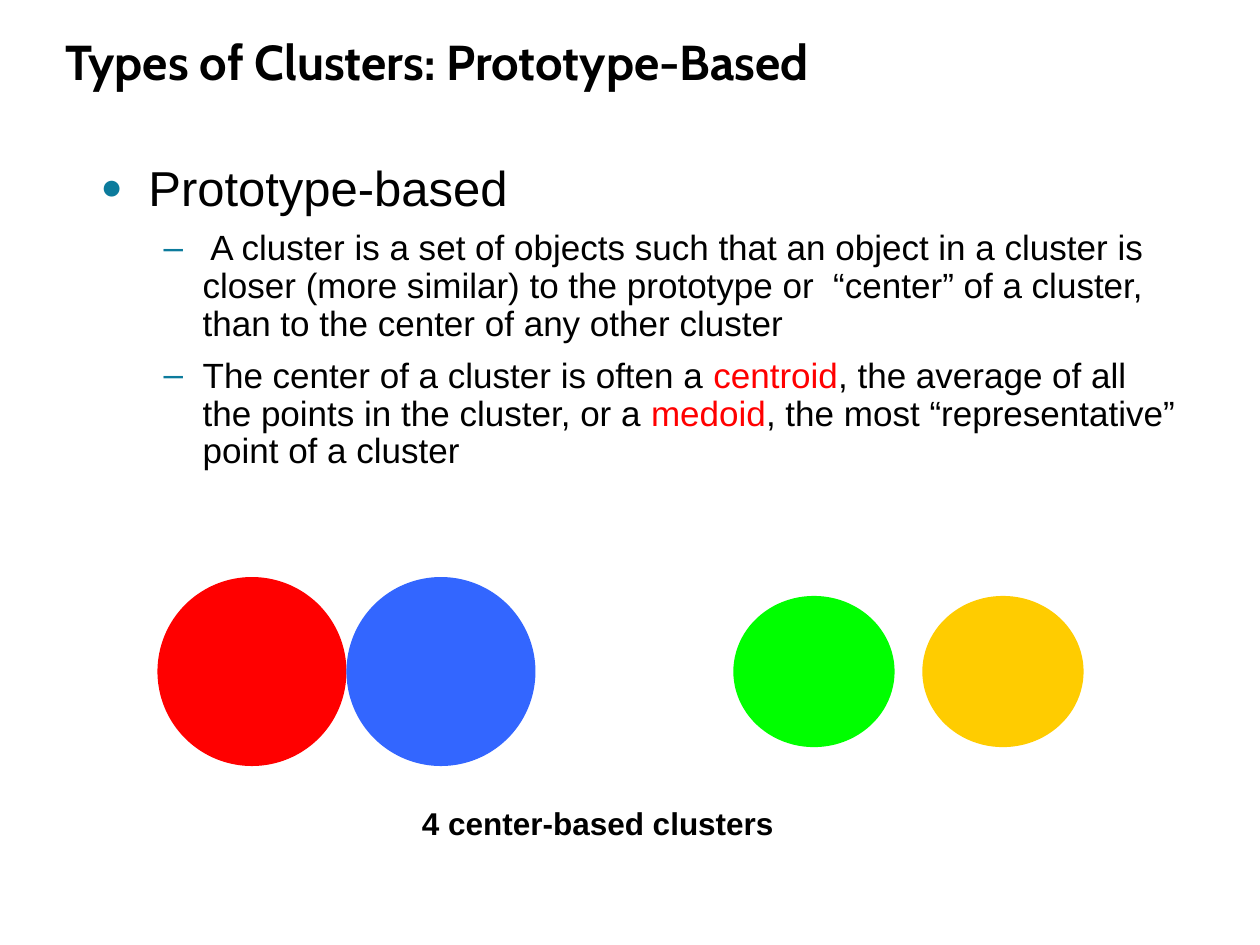
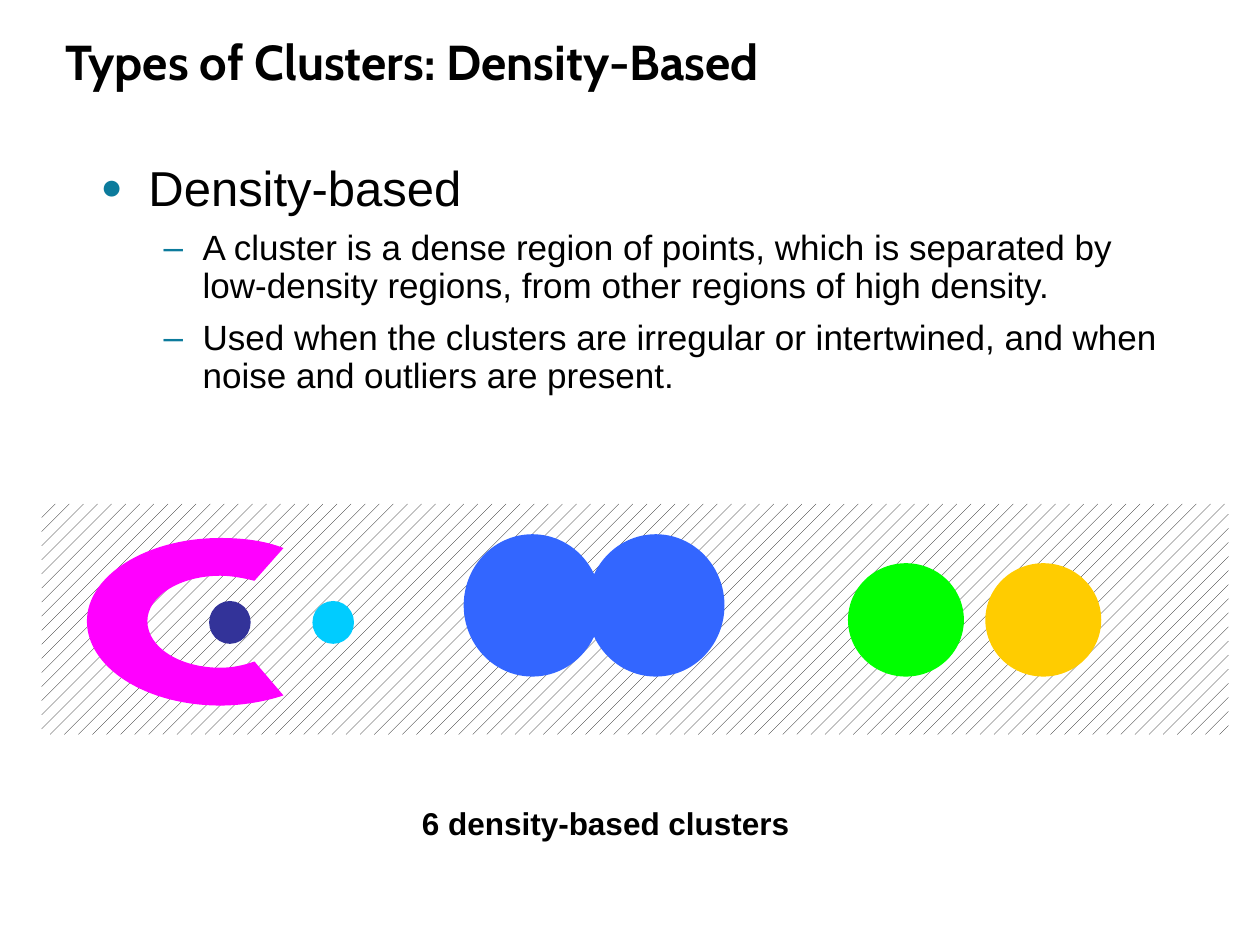
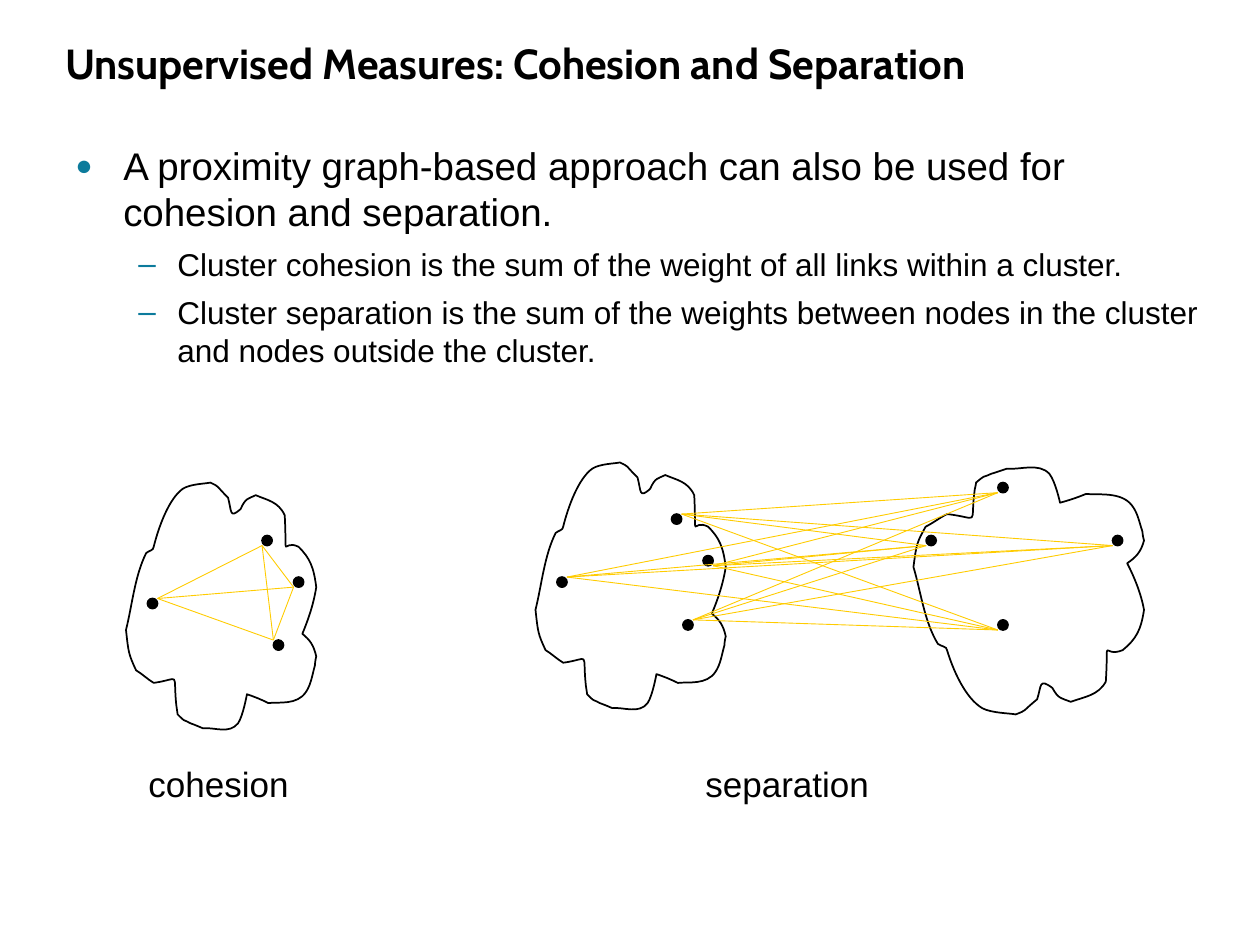
"""Builds three slides on cluster types and cluster measures."""
from dataclasses import dataclass
from itertools import combinations, product
from typing import Iterable, NamedTuple

from lxml import etree
from pptx import Presentation
from pptx.dml.color import RGBColor
from pptx.enum.dml import MSO_PATTERN_TYPE
from pptx.enum.shapes import MSO_CONNECTOR_TYPE, MSO_SHAPE
from pptx.enum.text import MSO_ANCHOR, MSO_AUTO_SIZE
from pptx.oxml.ns import qn
from pptx.util import Inches, Pt

OVAL, RECT = MSO_SHAPE.OVAL, MSO_SHAPE.RECTANGLE
STRAIGHT = MSO_CONNECTOR_TYPE.STRAIGHT
BOTTOM = MSO_ANCHOR.BOTTOM
FIT_SHAPE = MSO_AUTO_SIZE.SHAPE_TO_FIT_TEXT
HATCH = MSO_PATTERN_TYPE.PERCENT_10

Point = tuple[float, float]
Segment = tuple[Point, ...]


@dataclass(frozen=True)
class Theme:
    """Fonts, colours and type sizes shared by the slides."""
    title_font: str = "Cabin"
    body_font: str = "Arial"
    ink: str = "000000"
    paper: str = "FFFFFF"
    bullet: str = "0C7B9C"
    red: str = "FF0000"
    blue: str = "3366FF"
    green: str = "00FF00"
    amber: str = "FFCC00"
    navy: str = "333399"
    cyan: str = "00CCFF"
    magenta: str = "FF00FF"
    title_size: int = 28
    long_title_size: int = 24
    caption_size: int = 18
    label_size: int = 20
    title_leading: int = 36
    space_after: int = 4


THEME = Theme()


class Box(NamedTuple):
    """A frame in inches."""
    x: float
    y: float
    w: float
    h: float


class Run(NamedTuple):
    """A piece of text in one colour."""
    text: str
    color: str = THEME.ink


class Level(NamedTuple):
    """The bullet style of one outline level."""
    char: str
    margin: float
    hang: float
    scale: int


class BodyStyle(NamedTuple):
    """Frame, type sizes and spacing of a bulleted body."""
    box: Box
    sizes: tuple[int, int]
    leading: float
    before: float


class Disc(NamedTuple):
    """A filled ellipse."""
    box: Box
    color: str


class Node(NamedTuple):
    """A graph node and the corner where its links meet it."""
    x: float
    y: float
    right: bool
    low: bool

    def anchor(self) -> Point:
        """Return the point where links attach."""
        return self.x + NODE_SIZE * self.right, self.y + NODE_SIZE * self.low


LEVELS = (Level("●", 0.38, 0.38, 75), Level("–", 0.81, 0.31, 100))
TYPES_BODY = BodyStyle(Box(0.7, 1.25, 8.75, 5.59), (28, 20), 0.9, 0.2)
MEASURES_BODY = BodyStyle(Box(0.5, 1.08, 9.25, 5.83), (22, 18), 1.0, 0.1)
NODE_SIZE = 0.08

CLOUD_SIZE = (1.51, 2.0)
CLOUD_START = (0.16, 0.56)
CLOUD_CURVES = (
    (0.07, 0.74, 0.05, 0.97, 0, 1.17), (0.02, 1.35, 0.02, 1.36, 0.08, 1.49),
    (0.13, 1.52, 0.17, 1.56, 0.22, 1.59), (0.44, 1.56, 0.37, 1.49, 0.4, 1.77),
    (0.4, 1.79, 0.41, 1.82, 0.41, 1.84), (0.48, 1.91, 0.44, 1.87, 0.51, 1.91),
    (0.54, 1.92, 0.61, 1.95, 0.61, 1.95), (0.7, 1.94, 0.82, 2, 0.89, 1.91),
    (0.93, 1.85, 0.96, 1.68, 0.96, 1.68), (1.02, 1.7, 1.07, 1.72, 1.13, 1.75),
    (1.21, 1.74, 1.36, 1.77, 1.43, 1.66), (1.47, 1.6, 1.48, 1.52, 1.5, 1.45),
    (1.5, 1.42, 1.51, 1.38, 1.51, 1.38), (1.49, 1.29, 1.46, 1.25, 1.4, 1.2),
    (1.45, 1.08, 1.49, 0.96, 1.51, 0.83), (1.49, 0.67, 1.46, 0.6, 1.37, 0.51),
    (1.23, 0.44, 1.28, 0.66, 1.26, 0.26), (1.21, 0.15, 1.12, 0.14, 1.03, 0.1),
    (0.97, 0.13, 0.95, 0.12, 0.91, 0.21), (0.82, 0.29, 0.84, 0.23, 0.81, 0.12),
    (0.7, 0.01, 0.75, 0.04, 0.67, 0), (0.63, 0.01, 0.51, 0.01, 0.45, 0.05),
    (0.34, 0.13, 0.26, 0.35, 0.22, 0.51), (0.22, 0.54, 0.18, 0.54, 0.16, 0.56),
)
CRESCENT_START = (2.02, 5.25)
CRESCENT_SEGMENTS = (
    (1.94, 5.28, 1.84, 5.3, 1.75, 5.3), (1.43, 5.3, 1.17, 5.14, 1.17, 4.93),
    (1.17, 4.73, 1.43, 4.57, 1.75, 4.57), (1.84, 4.57, 1.94, 4.59, 2.02, 4.61),
    (2.25, 4.35),
    (2.1, 4.29, 1.92, 4.27, 1.75, 4.27), (1.16, 4.27, 0.69, 4.57, 0.69, 4.93),
    (0.69, 5.3, 1.16, 5.6, 1.75, 5.6), (1.92, 5.6, 2.1, 5.57, 2.25, 5.52),
    (2.02, 5.25),
)


def rgb(color: str) -> RGBColor:
    """Turn a hex string into a colour."""
    return RGBColor.from_string(color)


def place(box: Box) -> list[int]:
    """Turn a frame into lengths."""
    return [Inches(v) for v in box]


def add_text(s, box: Box, wrap: bool = True):
    """Add an empty text box and return its frame."""
    tf = s.shapes.add_textbox(*place(box)).text_frame
    tf.word_wrap = wrap
    return tf


def add_run(p, run: Run, font: str, size: int, bold: bool = False) -> None:
    """Add one formatted run to a paragraph."""
    r = p.add_run()
    r.text = run.text
    r.font.name, r.font.size, r.font.bold = font, Pt(size), bold
    r.font.color.rgb = rgb(run.color)


def add_title(s, text: str, size: int = THEME.title_size, height: float = 0.6) -> None:
    """Add the slide title."""
    tf = add_text(s, Box(0.42, 0.17, 9.06, height))
    tf.vertical_anchor = BOTTOM
    p = tf.paragraphs[0]
    p.line_spacing = Pt(THEME.title_leading)
    add_run(p, Run(text), THEME.title_font, size, True)


def set_bullet(p, level: Level) -> None:
    """Give a paragraph its hanging bullet."""
    pPr = p._p.get_or_add_pPr()
    pPr.set("marL", str(Inches(level.margin)))
    pPr.set("indent", str(-Inches(level.hang)))
    clr = etree.SubElement(pPr, qn("a:buClr"))
    etree.SubElement(clr, qn("a:srgbClr"), val=THEME.bullet)
    etree.SubElement(pPr, qn("a:buSzPct"), val=str(level.scale * 1000))
    etree.SubElement(pPr, qn("a:buFont"), typeface=THEME.body_font)
    etree.SubElement(pPr, qn("a:buChar"), char=level.char)


def add_body(s, style: BodyStyle, heading: str, *points: tuple[Run, ...]) -> None:
    """Add a heading bullet with points below it."""
    tf = add_text(s, style.box)
    for i, runs in enumerate(((Run(heading),), *points)):
        depth = min(i, 1)
        size = style.sizes[depth]
        p = tf.add_paragraph() if i else tf.paragraphs[0]
        set_bullet(p, LEVELS[depth])
        p.line_spacing = style.leading
        p.space_after = Pt(THEME.space_after)
        if i:
            p.space_before = Pt(size * style.before)
        for run in runs:
            add_run(p, run, THEME.body_font, size)


def add_caption(s, text: str) -> None:
    """Add the bold caption below a drawing."""
    tf = add_text(s, Box(3.25, 6.33, 3.5, 0.4))
    tf.auto_size = FIT_SHAPE
    add_run(tf.paragraphs[0], Run(text), THEME.body_font, THEME.caption_size, True)


def add_label(s, text: str, x: float, width: float) -> None:
    """Add a plain label below a graph."""
    tf = add_text(s, Box(x, 6, width, 0.43), wrap=False)
    tf.auto_size = FIT_SHAPE
    add_run(tf.paragraphs[0], Run(text), THEME.body_font, THEME.label_size)


def add_discs(s, *discs: Disc) -> None:
    """Draw ellipses without outlines."""
    for disc in discs:
        sp = s.shapes.add_shape(OVAL, *place(disc.box))
        sp.shadow.inherit = False
        sp.fill.solid()
        sp.fill.fore_color.rgb = rgb(disc.color)
        sp.line.fill.background()


def pairs_of(values: tuple[float, ...]) -> Segment:
    """Group a flat run of coordinates into points."""
    return tuple(zip(values[::2], values[1::2]))


def add_outline(s, start: Point, segments: list[Segment]):
    """Draw a closed outline of lines (one point) and curves (three points)."""
    builder = s.shapes.build_freeform(*[Inches(v) for v in start])
    builder.add_line_segments([(Inches(x), Inches(y)) for x, y in
                               (segment[-1] for segment in segments)], close=True)
    sp = builder.convert_to_shape()
    sp.shadow.inherit = False
    for line, segment in zip(list(sp._element.iter(qn("a:lnTo"))), segments):
        if len(segment) == 3:
            curve = etree.Element(qn("a:cubicBezTo"))
            for x, y in segment:
                etree.SubElement(curve, qn("a:pt"), x=str(Inches(x) - sp.left),
                                 y=str(Inches(y) - sp.top))
            line.getparent().replace(line, curve)
    return sp


def add_cloud(s, x: float, y: float, width: float = CLOUD_SIZE[0], flip: bool = False) -> None:
    """Draw a cluster cloud, optionally widened and turned upside down."""
    def fit(point: Point) -> Point:
        px, py = point
        return x + px * width / CLOUD_SIZE[0], y + (CLOUD_SIZE[1] - py if flip else py)

    sp = add_outline(s, fit(CLOUD_START),
                     [tuple(map(fit, pairs_of(curve))) for curve in CLOUD_CURVES])
    sp.fill.background()
    sp.line.color.rgb = rgb(THEME.ink)
    sp.line.width = Pt(1)


def add_nodes(s, nodes: Iterable[Node]) -> None:
    """Draw graph nodes as outlined dots."""
    for node in nodes:
        sp = s.shapes.add_shape(OVAL, *place(Box(node.x, node.y, NODE_SIZE, NODE_SIZE)))
        sp.shadow.inherit = False
        sp.fill.solid()
        sp.fill.fore_color.rgb = rgb(THEME.ink)
        sp.line.color.rgb = rgb(THEME.ink)
        sp.line.width = Pt(1)


def add_links(s, pairs: Iterable[tuple[Node, Node]]) -> None:
    """Link pairs of nodes with thin lines."""
    for a, b in pairs:
        ends = [Inches(v) for v in (*a.anchor(), *b.anchor())]
        cxn = s.shapes.add_connector(STRAIGHT, *ends)
        cxn.line.color.rgb = rgb(THEME.amber)
        cxn.line.width = Pt(0.5)
        etree.SubElement(cxn._element.spPr, qn("a:effectLst"))


def add_noise(s) -> None:
    """Draw the hatched noise region."""
    sp = s.shapes.add_shape(RECT, *place(Box(0.33, 4, 9.42, 1.83)))
    sp.shadow.inherit = False
    sp.fill.patterned()
    sp.fill.pattern = HATCH
    sp.fill.fore_color.rgb = rgb(THEME.ink)
    sp.fill.back_color.rgb = rgb(THEME.paper)
    sp.line.fill.background()


def add_crescent(s) -> None:
    """Draw the open ring around the small cluster."""
    sp = add_outline(s, CRESCENT_START, [pairs_of(v) for v in CRESCENT_SEGMENTS])
    sp.fill.solid()
    sp.fill.fore_color.rgb = rgb(THEME.magenta)
    sp.line.fill.background()


def prototype_slide(s) -> None:
    """Build the slide on prototype-based clusters."""
    add_title(s, "Types of Clusters: Prototype-Based")
    add_body(
        s, TYPES_BODY, "Prototype-based",
        (Run(" A cluster is a set of objects such that an object in a cluster is closer "
             "(more similar) to the prototype or  “center” of a cluster, than to the "
             "center of any other cluster"),),
        (Run("The center of a cluster is often a "), Run("centroid", THEME.red),
         Run(", the average of all the points in the cluster, or a "),
         Run("medoid", THEME.red),
         Run(", the most “representative” point of a cluster")))
    add_discs(s, Disc(Box(1.25, 4.58, 1.5, 1.5), THEME.red),
              Disc(Box(2.75, 4.58, 1.5, 1.5), THEME.blue),
              Disc(Box(5.82, 4.73, 1.28, 1.2), THEME.green),
              Disc(Box(7.32, 4.73, 1.28, 1.2), THEME.amber))
    add_caption(s, "4 center-based clusters")


def density_slide(s) -> None:
    """Build the slide on density-based clusters."""
    add_title(s, "Types of Clusters: Density-Based")
    add_body(
        s, TYPES_BODY, "Density-based",
        (Run("A cluster is a dense region of points, which is separated by low-density "
             "regions, from other regions of high density."),),
        (Run("Used when the clusters are irregular or intertwined, and when noise and "
             "outliers are present."),))
    add_noise(s)
    add_discs(s, Disc(Box(1.66, 4.77, 0.33, 0.34), THEME.navy))
    add_crescent(s)
    add_discs(s, Disc(Box(2.48, 4.77, 0.33, 0.34), THEME.cyan),
              Disc(Box(6.73, 4.47, 0.92, 0.9), THEME.green),
              Disc(Box(7.82, 4.47, 0.92, 0.9), THEME.amber),
              Disc(Box(3.68, 4.24, 1.09, 1.13), THEME.blue),
              Disc(Box(4.66, 4.24, 1.09, 1.13), THEME.blue))
    add_caption(s, "6 density-based clusters")


def measures_slide(s) -> None:
    """Build the slide on cohesion and separation."""
    add_body(
        s, MEASURES_BODY,
        "A proximity graph-based approach can also be used for cohesion and separation.",
        (Run("Cluster cohesion is the sum of the weight of all links within a cluster."),),
        (Run("Cluster separation is the sum of the weights between nodes in the cluster "
             "and nodes outside the cluster."),))
    add_title(s, "Unsupervised Measures: Cohesion and Separation",
              THEME.long_title_size, 0.58)
    left = (Node(5.42, 4.92, True, False), Node(5.58, 4.41, True, True),
            Node(4.42, 4.58, True, False), Node(5.33, 4.08, True, False))
    right = (Node(7.92, 4.92, False, True), Node(7.35, 4.25, False, True),
             Node(7.92, 3.83, False, True), Node(8.83, 4.25, False, True))
    inner = (Node(2.17, 5.08, False, False), Node(2.08, 4.25, False, True),
             Node(1.17, 4.75, True, False), Node(2.33, 4.58, False, True))
    add_cloud(s, 4.25, 3.67)
    add_nodes(s, left)
    add_cloud(s, 7.25, 3.67, 1.83, flip=True)
    add_nodes(s, right)
    add_links(s, product(left, right))
    add_cloud(s, 1, 3.83)
    add_nodes(s, inner)
    add_links(s, combinations(inner, 2))
    add_label(s, "cohesion", 1.08, 1.33)
    add_label(s, "separation", 5.5, 1.5)


def main() -> None:
    """Build and save the presentation."""
    prs = Presentation()
    prs.slide_width, prs.slide_height = Inches(10), Inches(7.5)
    for build in (prototype_slide, density_slide, measures_slide):
        build(prs.slides.add_slide(prs.slide_layouts[6]))
    prs.save("out.pptx")


if __name__ == "__main__":
    main()
